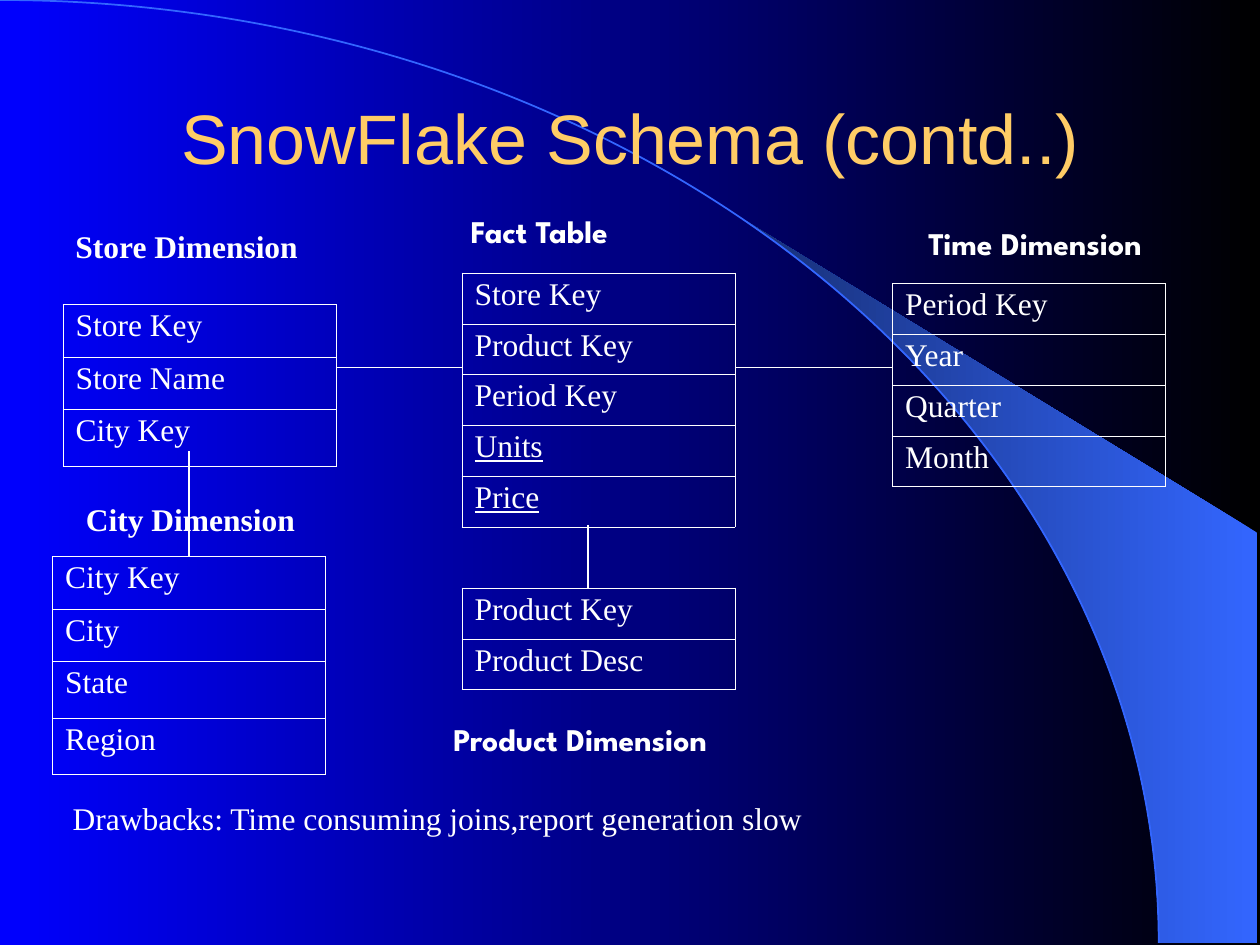
from math import acos, cos, sin

from lxml import etree
from pptx import Presentation
from pptx.dml.color import RGBColor
from pptx.enum.shapes import MSO_CONNECTOR, MSO_SHAPE
from pptx.enum.text import MSO_ANCHOR, PP_ALIGN
from pptx.oxml.ns import qn
from pptx.util import Inches, Pt

ARC = MSO_SHAPE.ARC
STRAIGHT = MSO_CONNECTOR.STRAIGHT
CENTER, LEFT = PP_ALIGN.CENTER, PP_ALIGN.LEFT
MIDDLE, TOP = MSO_ANCHOR.MIDDLE, MSO_ANCHOR.TOP

THEME = {
    "text": "FFFFFF", "title": "FFCC66", "accent": "3366FF", "shade": "172F75",
    "night": "000000", "blue": "0000FF",
    "serif": "Times New Roman", "sans": "Arial", "display": "League Spartan",
    "title_size": 40, "body_size": 18, "outer_border": 0.5, "inner_border": 0.23,
}

# The slide is a grid of 120 columns by 90 rows; every place below is in grid units.
COLUMNS, ROWS = 120, 90
WIDTH, HEIGHT = Inches(10), Inches(7.5)

TITLE = "SnowFlake Schema (contd..)"
TITLE_BOX = (9, 8, 102, 10)

TABLE_WIDTH = 26
ROW, TALL_ROW, TALLEST_ROW = 4.84, 5, 5.4
# left, top, fields, row heights
TABLES = [
    (44, 26, ["Store Key", "Product Key", "Period Key", "Units", "Price"], [ROW] * 5),
    (6, 29, ["Store Key", "Store Name", "City Key"], [TALL_ROW] * 2 + [TALLEST_ROW]),
    (85, 27, ["Period Key", "Year", "Quarter", "Month"], [ROW] * 4),
    (44, 56, ["Product Key", "Product Desc"], [ROW] * 2),
    (5, 53, ["City Key", "City", "State", "Region"], [TALL_ROW] * 2 + [TALLEST_ROW] * 2),
]
MEASURES = {"Units", "Price"}

# text, left, top, width, font, bold
LABELS = [
    ("Time Dimension", 87.25, 20.75, 26.6, "display", True),
    ("Product Dimension", 42, 68, 29.5, "display", True),
    ("Fact Table", 43.65, 19.65, 17.6, "display", True),
    ("City Dimension", 7, 47, 22.3, "serif", True),
    ("Store Dimension", 6, 21, 23.6, "serif", True),
    ("Drawbacks: Time consuming joins,report generation slow", 5.75, 75.5, 72, "serif", False),
]
LABEL_HEIGHT = 4.8

# start column, start row, end column, end row, line width
JOINS = [
    (70, 35, 85, 35, 1),
    (56, 50, 56, 56, 1),
    (32, 35, 44, 35, 1),
    (18, 43, 18, 53, 0.75),
]

# Quarter ellipse centred on the lower left corner, and the beam that leaves it
ARC_RADIUS_X, ARC_RADIUS_Y = 110.35, 89.8
BEAM_START_COLUMN, BEAM_RIGHT, BEAM_CORNER_ROW = 70.65, 119.75, 50.75
BEAM_STEPS = 24


def across(columns):
    return round(WIDTH * columns / COLUMNS)


def down(rows):
    return round(HEIGHT * rows / ROWS)


def place(left, top, width, height):
    return across(left), down(top), across(width), down(height)


def color(name):
    return RGBColor.from_string(THEME[name])


def set_gradient(fill, first, last):
    fill.gradient()
    fill.gradient_angle = 180
    for stop, name in zip(fill.gradient_stops, (first, last)):
        stop.color.rgb = color(name)


def add_text(frame, text, font="serif", size="body_size", tint="text",
             bold=False, underline=False, align=LEFT):
    paragraph = frame.paragraphs[0]
    paragraph.alignment = align
    run = paragraph.add_run()
    run.text = text
    run.font.name = THEME[font]
    run.font.size = Pt(THEME[size])
    run.font.color.rgb = color(tint)
    run.font.bold = bold
    run.font.underline = underline
    return paragraph


def add_box(slide, box, anchor=TOP, wrap=False):
    frame = slide.shapes.add_textbox(*place(*box)).text_frame
    frame.word_wrap = wrap
    frame.vertical_anchor = anchor
    return frame


def set_borders(cell, top, bottom):
    properties = cell._tc.get_or_add_tcPr()
    outer = THEME["outer_border"]
    sides = {"a:lnL": outer, "a:lnR": outer, "a:lnT": top, "a:lnB": bottom}
    for index, (side, width) in enumerate(sides.items()):
        line = etree.Element(qn(side), w=str(Pt(width)))
        fill = etree.SubElement(line, qn("a:solidFill"))
        etree.SubElement(fill, qn("a:srgbClr"), val=THEME["text"])
        properties.insert(index, line)


def add_backdrop(slide):
    set_gradient(slide.background.fill, "night", "blue")

    # Beam: follows the arc, then runs along the right edge
    start = acos(BEAM_START_COLUMN / ARC_RADIUS_X)
    angles = [start * (1 - step / BEAM_STEPS) for step in range(BEAM_STEPS + 1)]
    points = [(across(ARC_RADIUS_X * cos(angle)), down(ARC_RADIUS_Y * (1 - sin(angle))))
              for angle in angles]
    points += [(across(BEAM_RIGHT), down(ARC_RADIUS_Y)),
               (across(BEAM_RIGHT), down(BEAM_CORNER_ROW))]
    builder = slide.shapes.build_freeform(*points[0])
    builder.add_line_segments(points[1:], close=True)
    beam = builder.convert_to_shape()
    beam.shadow.inherit = False
    set_gradient(beam.fill, "accent", "shade")
    beam.line.fill.background()

    arc = slide.shapes.add_shape(
        ARC, *place(-ARC_RADIUS_X, 0, 2 * ARC_RADIUS_X, 2 * ARC_RADIUS_Y))
    arc.shadow.inherit = False
    arc.fill.background()
    arc.line.color.rgb = color("accent")
    arc.line.width = Pt(1)


def add_schema_table(slide, left, top, fields, heights):
    table = slide.shapes.add_table(
        len(fields), 1, *place(left, top, TABLE_WIDTH, sum(heights))).table
    table.first_row = table.horz_banding = False
    outer, inner = THEME["outer_border"], THEME["inner_border"]
    last = len(fields) - 1
    for index, (field, height) in enumerate(zip(fields, heights)):
        table.rows[index].height = down(height)
        cell = table.cell(index, 0)
        cell.fill.background()
        set_borders(cell, outer if index == 0 else inner, outer if index == last else inner)
        paragraph = add_text(cell.text_frame, field, underline=field in MEASURES)
        paragraph.line_spacing = 0.93


def add_join(slide, start_column, start_row, end_column, end_row, width):
    connector = slide.shapes.add_connector(
        STRAIGHT, across(start_column), down(start_row), across(end_column), down(end_row))
    connector.line.color.rgb = color("text")
    connector.line.width = Pt(width)
    etree.SubElement(connector._element.spPr, qn("a:effectLst"))


def main():
    presentation = Presentation()
    presentation.slide_width, presentation.slide_height = WIDTH, HEIGHT
    slide = presentation.slides.add_slide(presentation.slide_layouts[6])

    add_backdrop(slide)
    add_text(add_box(slide, TITLE_BOX, MIDDLE, wrap=True), TITLE,
             "sans", "title_size", "title", align=CENTER)
    for table in TABLES:
        add_schema_table(slide, *table)
    for text, left, top, width, font, bold in LABELS:
        add_text(add_box(slide, (left, top, width, LABEL_HEIGHT)), text, font, bold=bold)
    for join in JOINS:
        add_join(slide, *join)

    presentation.save("out.pptx")


if __name__ == "__main__":
    main()
